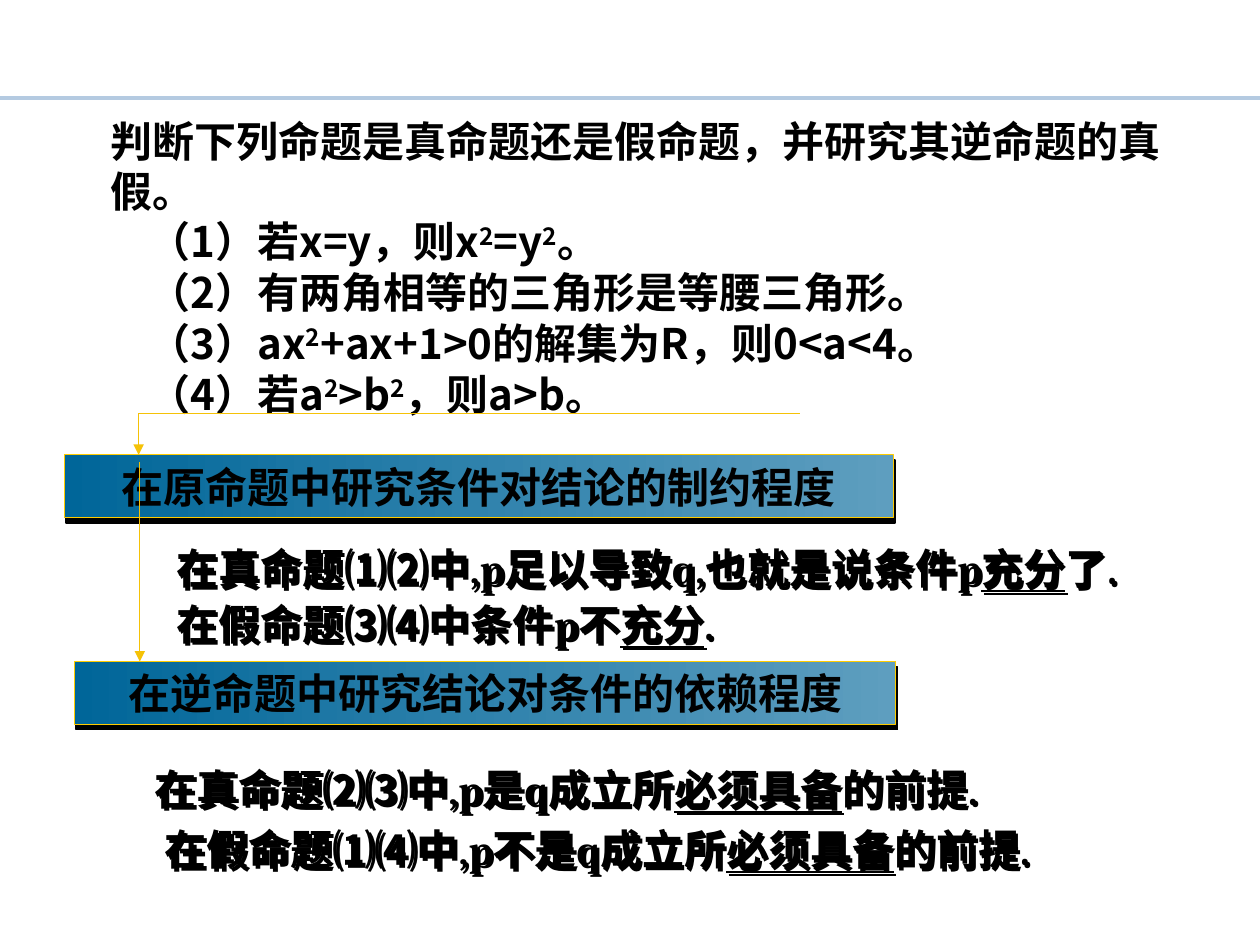
from lxml.etree import SubElement
from pptx import Presentation
from pptx.dml.color import RGBColor
from pptx.enum.shapes import MSO_CONNECTOR, MSO_SHAPE
from pptx.enum.text import MSO_ANCHOR, MSO_AUTO_SIZE, PP_ALIGN
from pptx.oxml.ns import qn
from pptx.util import Inches, Pt

BLACK = RGBColor(0x00, 0x00, 0x00)
RULE = RGBColor(0xB4, 0xCA, 0xE1)
DEEP = RGBColor(0x00, 0x66, 0x99)
PALE = RGBColor(0x5E, 0x9E, 0xBF)
GOLD = RGBColor(0xFF, 0xCC, 0x00)
AMBER = RGBColor(0xF5, 0xC2, 0x07)
SANS, SERIF = "Noto Sans CJK SC", "Cambria"

LEAD = "判断下列命题是真命题还是假命题，并研究其逆命题的真假。"
ITEMS = [
    "（1）若x=y，则x|2|=y|2|。",
    "（2）有两角相等的三角形是等腰三角形。",
    "（3）ax|2|+ax+1>0的解集为R，则0<a<4。",
    "（4）若a|2|>b|2|，则a>b。",
]
ENOUGH = [
    ("在真命题⑴⑵中,p足以导致q,也就是说条件p|充分|了.", 0),
    ("在假命题⑶⑷中条件p不|充分|.", 0),
]
NEEDED = [
    ("在真命题⑵⑶中,p是q成立所|必须具备|的前提.", 0.46),
    ("在假命题⑴⑷中,p不是q成立所|必须具备|的前提.", 0.54),
]


def place(shape, left, top, width, height):
    """Move a shape to a box given in inches."""
    shape.left, shape.top = Inches(left), Inches(top)
    shape.width, shape.height = Inches(width), Inches(height)


def shade(shape, dist, angle):
    """Give a shape a hard black shadow."""
    shape.shadow.inherit = False
    effects = shape._element.spPr.find(qn("a:effectLst"))
    outer = SubElement(effects, qn("a:outerShdw"), dist=str(Pt(dist)),
                       dir=str(angle * 60000), algn="ctr", rotWithShape="0")
    SubElement(outer, qn("a:srgbClr"), val=str(BLACK))


def write(frame, rows, face, space, mark):
    """Fill a frame with (text, indent) rows, marking the parts between bars."""
    frame.word_wrap = True
    frame.auto_size = MSO_AUTO_SIZE.NONE
    frame.vertical_anchor = MSO_ANCHOR.TOP
    for i, (text, indent) in enumerate(rows):
        para = frame.add_paragraph() if i else frame.paragraphs[0]
        props = para._p.get_or_add_pPr()
        props.set("marL", str(Inches(indent)))
        props.set("indent", "0")
        para.alignment = PP_ALIGN.LEFT
        para.line_spacing = space
        para.space_before = para.space_after = Pt(0)
        SubElement(props, qn("a:buNone"))
        font = para.font
        font.name, font.size, font.bold = face, Pt(24), True
        font.color.rgb = BLACK
        for j, part in enumerate(text.split("|")):
            run = para.add_run()
            run.text = part
            if j % 2:
                mark(run)


def raise_up(run):
    """Make a run superscript."""
    run._r.get_or_add_rPr().set("baseline", "30000")


def underline(run):
    """Underline a run."""
    run.font.underline = True


def line(shapes, start, end, color, width, arrow=False):
    """Draw a straight line, with an arrowhead at its start if asked."""
    rule = shapes.add_connector(MSO_CONNECTOR.STRAIGHT,
                                *map(Inches, start + end))
    rule.line.color.rgb = color
    rule.line.width = Pt(width)
    if arrow:
        SubElement(rule.line._get_or_add_ln(), qn("a:headEnd"),
                   type="triangle")
    SubElement(rule._element.spPr, qn("a:effectLst"))


def question(slide, left, top, width):
    """Place the lead sentence and the numbered propositions."""
    title, body = slide.shapes.title, slide.placeholders[1]
    place(title, left, top, width, 0.9)
    place(body, left, top + 0.8, width, 1.7)
    write(title.text_frame, [(LEAD, 0)], SANS, Pt(29), raise_up)
    write(body.text_frame, [(item, 0.3) for item in ITEMS],
          SANS, Pt(29), raise_up)


def banner(shapes, text, left, top, width):
    """Draw a gradient bar with a centred heading."""
    bar = shapes.add_shape(MSO_SHAPE.RECTANGLE, Inches(left), Inches(top),
                           Inches(width), Inches(0.5))
    bar.fill.gradient()
    bar.fill.gradient_angle = 0
    for stop, color in zip(bar.fill.gradient_stops, (DEEP, PALE)):
        stop.color.rgb = color
    bar.line.color.rgb = GOLD
    bar.line.width = Pt(0.75)
    shade(bar, 3.2, 72)
    para = bar.text_frame.paragraphs[0]
    para.text = text
    para.alignment = PP_ALIGN.CENTER
    font = para.font
    font.name, font.size, font.bold = SERIF, Pt(24), True
    font.color.rgb = BLACK


def notes(slide, rows, space, left, top, width, height):
    """Place shadowed remarks with underlined key words."""
    box = slide.shapes.add_textbox(0, 0, 0, 0)
    place(box, left, top, width, height)
    write(box.text_frame, rows, SERIF, space, underline)
    shade(box, 2, 45)


def main():
    """Build and save the slide."""
    deck = Presentation()
    deck.slide_width, deck.slide_height = Inches(10), Inches(7.5)
    slide = deck.slides.add_slide(deck.slide_layouts[1])
    line(slide.shapes, (0, 0.78), (10, 0.78), RULE, 2.25)
    notes(slide, NEEDED, 1.2, 0.67, 5.93, 9.3, 1.2)
    notes(slide, ENOUGH, 1.1, 1.3, 4.22, 8.42, 1.35)
    first = slide.shapes.add_group_shape().shapes
    banner(first, "在原命题中研究条件对结论的制约程度", 0.51, 3.61, 6.58)
    line(first, (1.1, 3.28), (6.35, 3.28), AMBER, 0.75)
    line(first, (1.1, 3.61), (1.1, 3.28), AMBER, 0.75, True)
    second = slide.shapes.add_group_shape().shapes
    banner(second, "在逆命题中研究结论对条件的依赖程度", 0.59, 5.25, 6.52)
    line(second, (1.11, 5.25), (1.11, 3.67), AMBER, 0.75, True)
    question(slide, 0.78, 0.86, 8.67)
    deck.save("out.pptx")


if __name__ == "__main__":
    main()
